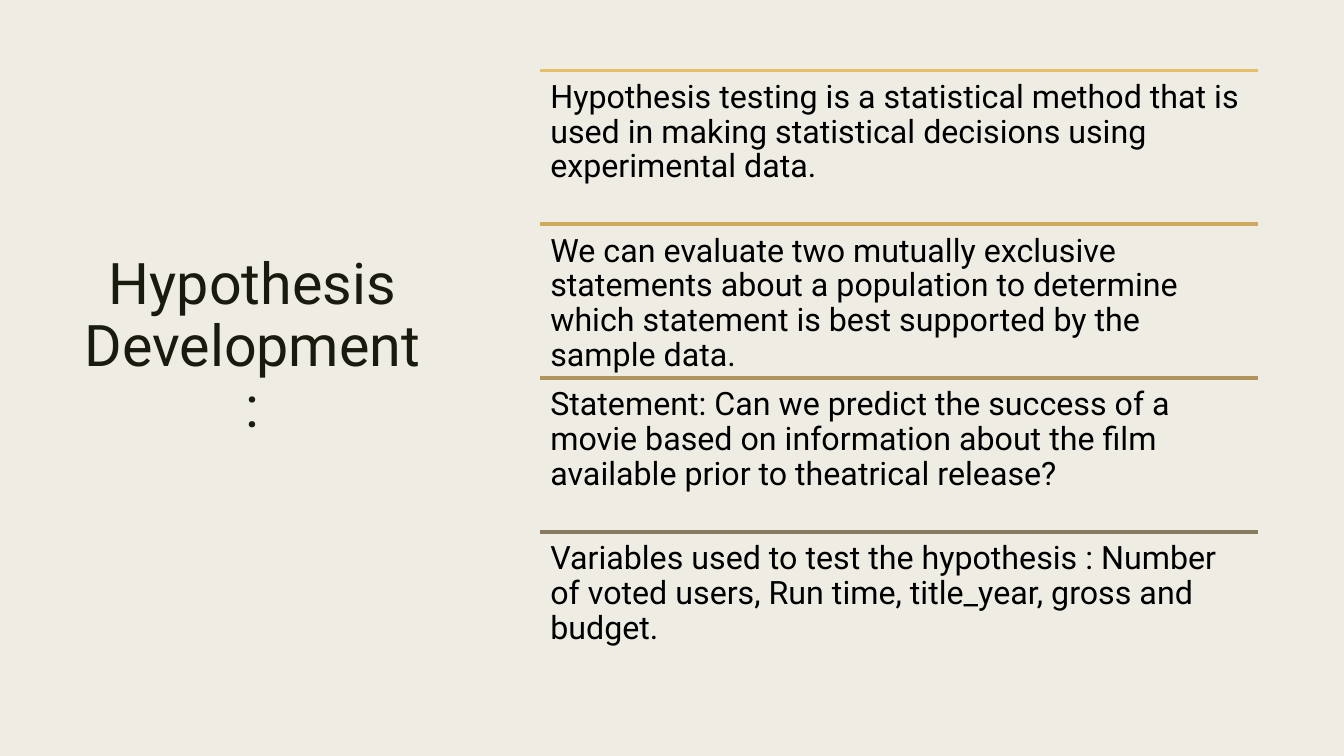
from pptx import Presentation
from pptx.dml.color import RGBColor
from pptx.enum import shapes, text
from pptx.oxml import ns
from pptx.util import Inches, Pt
from lxml import etree

FONT = "Roboto"
COLORS = {"paper": "EFEDE3", "title": "191B0E", "body": "000000"}
POINTS = [
    ("E6C069", "Hypothesis testing is a statistical method that is used in "
               "making statistical decisions using experimental data."),
    ("CEAB5F", "We can evaluate two mutually exclusive statements about a "
               "population to determine which statement is best supported "
               "by the sample data."),
    ("B0945B", "Statement: Can we predict the success of a movie based on "
               "information about the film available prior to theatrical "
               "release?"),
    ("897B61", "Variables used to test the hypothesis : Number of voted "
               "users, Run time, title_year, gross and budget."),
]


def rgb(code):
    return RGBColor.from_string(code)


def add_text(slide, box, words, size, color, spacing):
    """Add wrapped text in a box of inches; return its frame."""
    frame = slide.shapes.add_textbox(*map(Inches, box)).text_frame
    frame.word_wrap = True
    frame.margin_left = frame.margin_right = Inches(0.1)
    para = frame.paragraphs[0]
    para.text = words
    para.line_spacing = spacing
    para.font.name = FONT
    para.font.size = Pt(size)
    para.font.color.rgb = rgb(color)
    return frame


def add_rule(slide, left, top, width, color):
    x, y = Inches(left), Inches(top)
    rule = slide.shapes.add_connector(
        shapes.MSO_CONNECTOR.STRAIGHT, x, y, x + Inches(width), y)
    rule.line.color.rgb = rgb(color)
    rule.line.width = Pt(2.75)
    etree.SubElement(rule._element.spPr, ns.qn("a:effectLst"))


def add_title(slide, box):
    frame = add_text(slide, box, "Hypothesis Development:", 41,
                     COLORS["title"], 0.89)
    frame.vertical_anchor = text.MSO_ANCHOR.MIDDLE
    # Lift the heading above the middle of its box
    frame.margin_bottom = Inches(0.65)
    frame.paragraphs[0].alignment = text.PP_ALIGN.CENTER


def add_points(slide, box):
    left, top, width, height = box
    step = height / len(POINTS)
    for i, (color, words) in enumerate(POINTS):
        y = top + i * step
        add_rule(slide, left, y, width, color)
        frame = add_text(slide, (left, y, width, step), words, 23,
                         COLORS["body"], 0.9)
        frame.margin_top = frame.margin_bottom = Inches(0.1)


def main():
    deck = Presentation()
    deck.slide_width, deck.slide_height = Inches(13.33), Inches(7.5)
    slide = deck.slides.add_slide(deck.slide_layouts[6])

    # Background
    fill = slide.background.fill
    fill.solid()
    fill.fore_color.rgb = rgb(COLORS["paper"])

    # Heading on the left, ruled points on the right
    add_title(slide, (0.7, 0.7, 3.61, 6.1))
    add_points(slide, (5.36, 0.7, 7.12, 6.1))
    deck.save("out.pptx")


if __name__ == "__main__":
    main()
